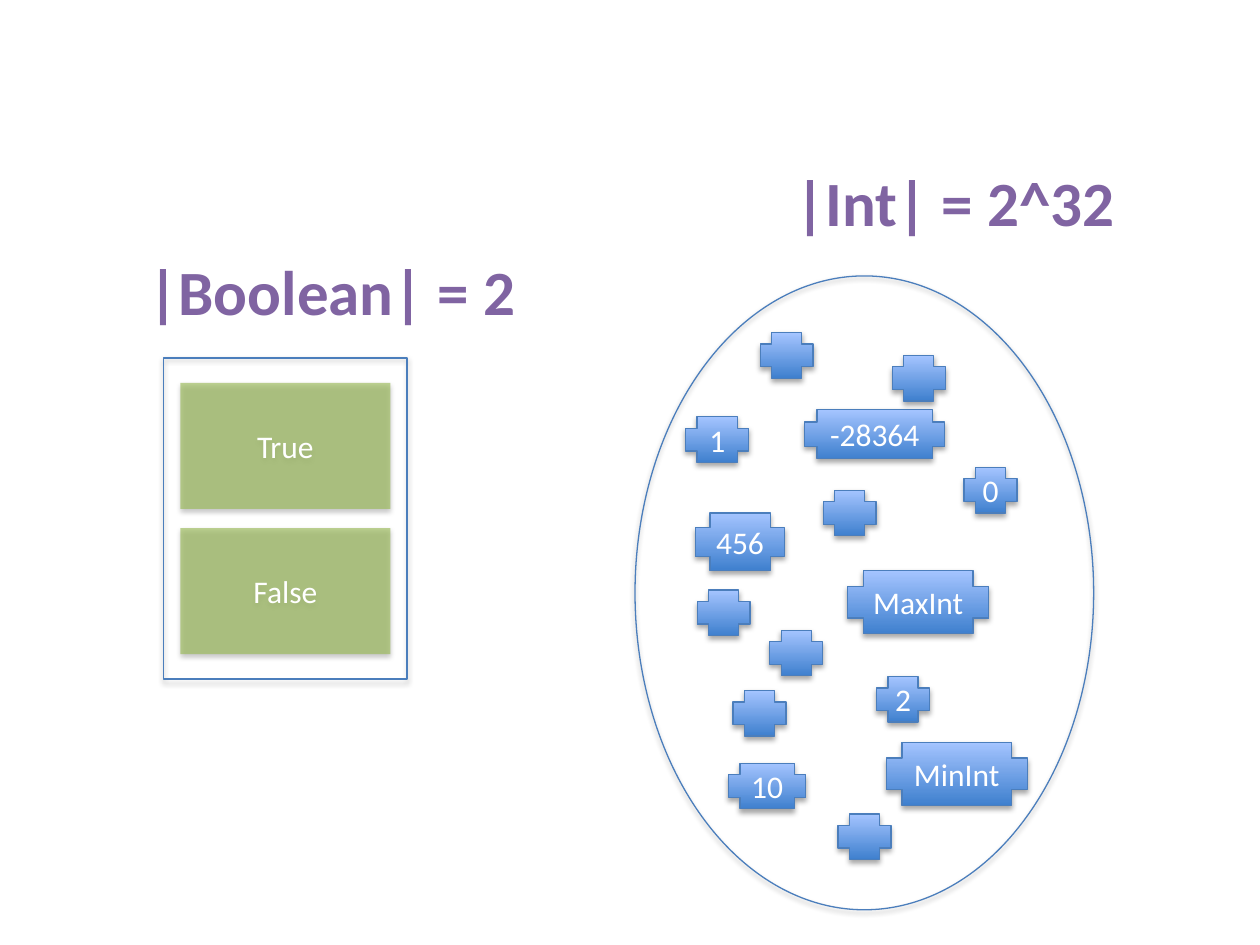
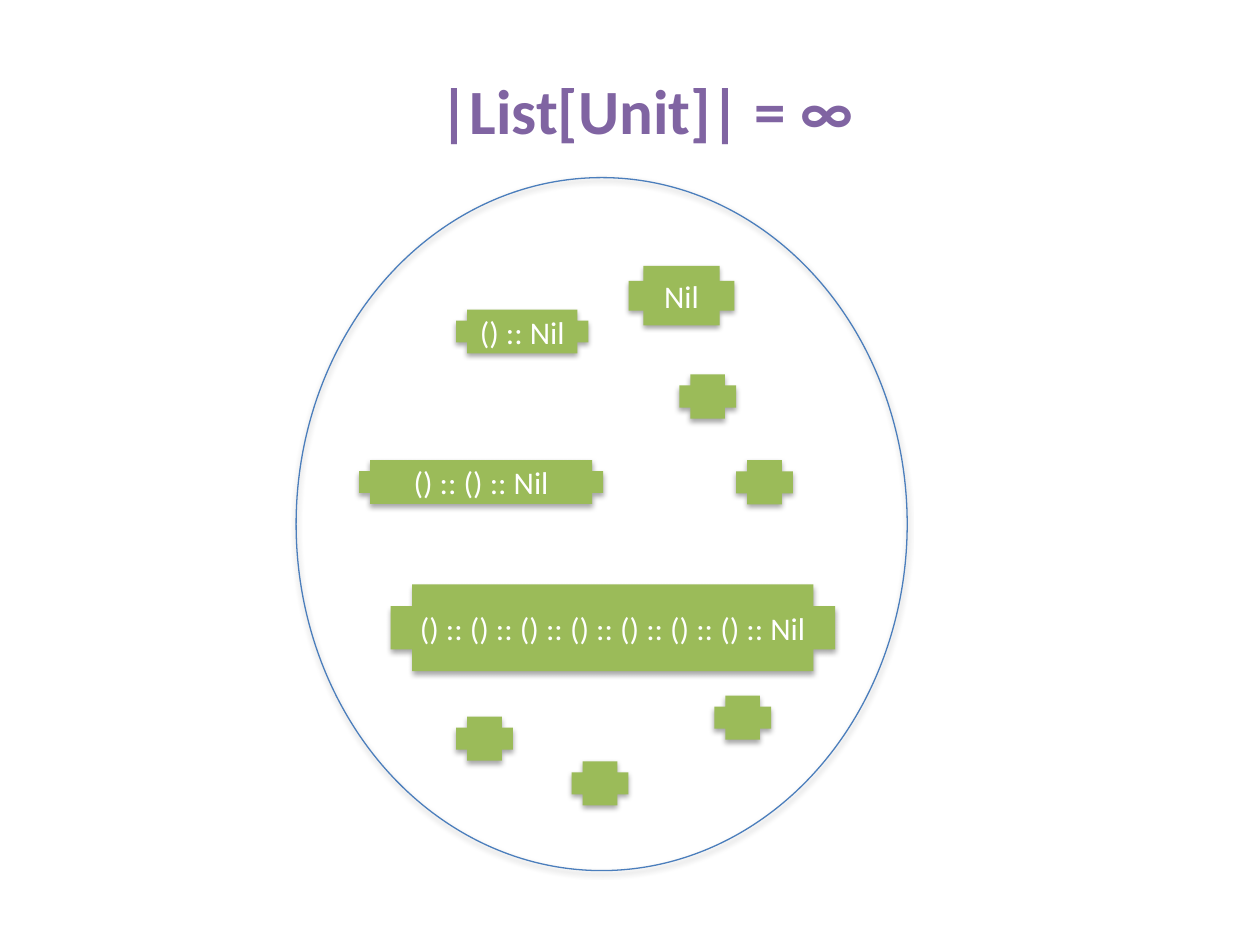
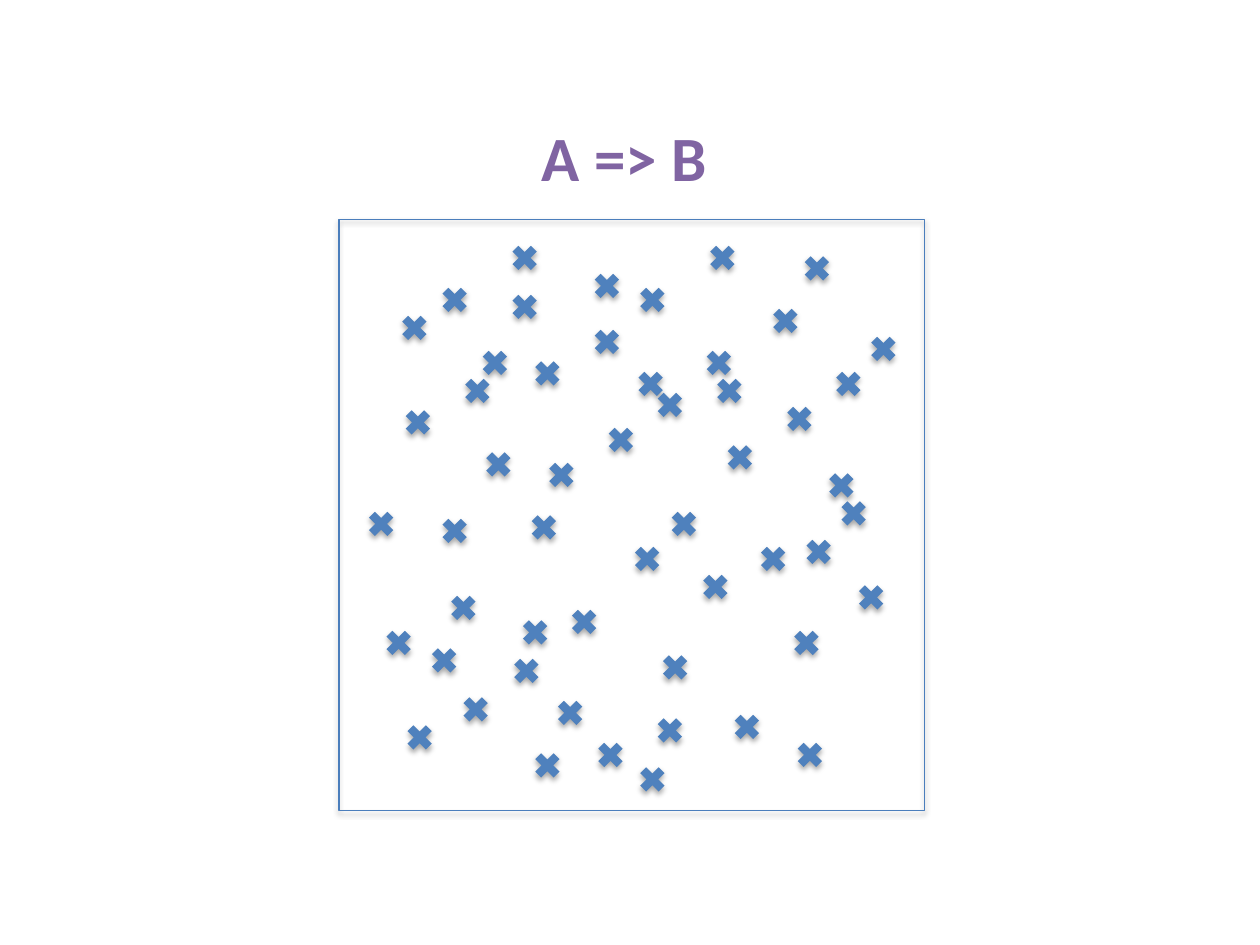
from lxml import etree
from pptx import Presentation
from pptx.dml.color import RGBColor
from pptx.enum.shapes import MSO_SHAPE
from pptx.enum.text import MSO_ANCHOR, MSO_AUTO_SIZE, PP_ALIGN
from pptx.oxml.ns import qn
from pptx.util import Pt

OVAL = MSO_SHAPE.OVAL
RECTANGLE = MSO_SHAPE.RECTANGLE
PLUS = MSO_SHAPE.CROSS
MULTIPLY = MSO_SHAPE.MATH_MULTIPLY
LEFT = PP_ALIGN.LEFT
CENTER = PP_ALIGN.CENTER
TOP = MSO_ANCHOR.TOP
MIDDLE = MSO_ANCHOR.MIDDLE
NO_AUTOFIT = MSO_AUTO_SIZE.NONE

PURPLE = RGBColor(0x80, 0x64, 0xA2)
GREEN = RGBColor(0x9B, 0xBB, 0x59)
BLUE = RGBColor(0x4F, 0x81, 0xBD)
OUTLINE_BLUE = RGBColor(0x4B, 0x7E, 0xBC)
GRADIENT = (RGBColor(0x3F, 0x80, 0xCE), RGBColor(0xA4, 0xC4, 0xFF))
WHITE = RGBColor(0xFF, 0xFF, 0xFF)
BLACK = RGBColor(0, 0, 0)

FONT = "Calibri"
TITLE_ONLY = 5
HEADING_HEIGHT = 51.1

BOOLEAN_HEADING = ("|Boolean| = 2", 77.8, 140.4, 226.1)
INT_HEADING = ("|Int| = 2^32", 447.8, 90, 198.7)
LIST_HEADING = ("|List[Unit]| = ∞", 244.1, 37.4, 252.7)
FUNCTION_HEADING = ("A => B", 302.4, 64.1, 113.8)

BOOLEAN_SET = (93.6, 204.5, 139, 183.6)
INT_SET = (362.9, 157.7, 262.1, 362.2)
LIST_SET = (169.2, 101.5, 349.2, 396)
FUNCTION_SET = (193.7, 125.3, 334.8, 337.7)

BOOLEAN_VALUES = ["True", "False"]
BOOLEAN_SIZE = (120, 72)
BOOLEAN_GAP = 11

SMALL_INT = (30.2, 25.9)
LIMIT_INT = (80.6, 36)
INT_MEMBERS = [
    ("456", (34.5, 135.5), (51, 33)),
    ("MaxInt", (121.5, 168.5), LIMIT_INT),
    ("0", (188, 109.5), SMALL_INT),
    ("1", (29, 80.5), (36, 26)),
    ("-28364", (97, 76.5), (80, 28)),
    ("2", (138, 229), SMALL_INT),
    ("10", (53.5, 278.5), (44, 26)),
    ("MinInt", (143.5, 266.5), LIMIT_INT),
]
UNNAMED_INT_OFFSETS = [
    (71.5, 32.5), (147, 45.5), (107.5, 122.5), (35.5, 179.5),
    (77, 202.5), (56, 237), (116, 307.5),
]

SMALL_LIST = (32.4, 25.2)
LIST_MEMBERS = [
    ("Nil", (190, 50.5), (60.5, 34)),
    ("() :: Nil", (91.5, 75.5), (75.5, 25)),
    ("() :: () :: Nil", (36, 161.5), (139.5, 25)),
    (" :: ".join(["()"] * 7 + ["Nil"]), (54, 232.5), (254, 49.5)),
]
UNNAMED_LIST_OFFSETS = [
    (219, 112.5), (251.5, 161.5), (239, 296), (91.5, 308), (157.5, 333.5),
]

FUNCTION_SIZE = (20.2, 20.2)
FUNCTION_LEFTS_BY_TOP = {
    12: [96, 209], 18: [263], 28: [143], 36: [56, 169], 40: [96],
    48: [245], 52: [33], 60: [143], 64: [301], 72: [79, 207],
    78: [109], 84: [168, 281], 88: [69, 213], 96: [179], 104: [253],
    106: [35], 116: [151], 126: [219], 130: [81], 136: [117],
    142: [277], 158: [284], 164: [14, 187], 166: [107], 168: [56],
    180: [264], 184: [166, 238], 200: [205], 206: [294], 212: [61],
    220: [130], 226: [102], 232: [24, 257], 242: [50], 246: [182],
    248: [97], 270: [68], 272: [122], 280: [223], 282: [179],
    286: [36], 296: [145, 259], 302: [109], 310: [169],
}


def unnamed_members(offsets, size):
    return [("", offset, size) for offset in offsets]


def stacked_members(texts, size, gap, container):
    width, height = size
    container_width, container_height = container[2:]
    step = height + gap
    left = (container_width - width) / 2
    first_top = (container_height - len(texts) * step + gap) / 2
    return [(text, (left, first_top + row * step), size)
            for row, text in enumerate(texts)]


def write_text(shape, text, size=18, color=WHITE, bold=False,
               align=CENTER, anchor=MIDDLE, wrap=False):
    frame = shape.text_frame
    frame.text = text
    frame.auto_size = NO_AUTOFIT
    frame.word_wrap = wrap
    frame.vertical_anchor = anchor
    paragraph = frame.paragraphs[0]
    paragraph.alignment = align
    font = paragraph.runs[0].font
    font.name, font.size, font.bold = FONT, Pt(size), bold
    font.color.rgb = color


def add_heading(slide, heading, is_title=True):
    text, left, top, width = heading
    box = [Pt(value) for value in (left, top, width, HEADING_HEIGHT)]
    if is_title:
        shape = slide.shapes.title
        shape.left, shape.top, shape.width, shape.height = box
    else:
        shape = slide.shapes.add_textbox(*box)
    write_text(shape, text, size=36, color=PURPLE, bold=True,
               align=LEFT, anchor=TOP, wrap=True)


def set_alpha(color_element, percent):
    etree.SubElement(color_element, qn("a:alpha"), val=str(percent * 1000))


def add_shadow(shape):
    shape.shadow.inherit = False
    effects = shape._element.spPr.find(qn("a:effectLst"))
    shadow = etree.SubElement(effects, qn("a:outerShdw"), blurRad=str(Pt(3.1)),
                              dist=str(Pt(1.8)), dir="5400000", rotWithShape="0")
    set_alpha(etree.SubElement(shadow, qn("a:srgbClr"), val=str(BLACK)), 35)


def add_figure(slide, preset, box, text="", fill=None, gradient=None,
               alpha=None, outlined=False):
    shape = slide.shapes.add_shape(preset, *[Pt(value) for value in box])
    if gradient:
        shape.fill.gradient()
        shape.fill.gradient_angle = 90
        for stop, color in zip(shape.fill.gradient_stops, gradient):
            stop.color.rgb = color
    elif fill is not None:
        shape.fill.solid()
        shape.fill.fore_color.rgb = fill
    else:
        shape.fill.background()
    if alpha:
        set_alpha(shape._element.spPr.find(qn("a:solidFill"))[0], alpha)
    if outlined:
        shape.line.color.rgb = OUTLINE_BLUE
        shape.line.width = Pt(0.75)
    else:
        shape.line.fill.background()
    add_shadow(shape)
    if text:
        write_text(shape, text)


def add_set(slide, container_preset, container, member_preset, members, **style):
    add_figure(slide, container_preset, container, outlined=True)
    set_left, set_top = container[:2]
    for text, (left, top), size in members:
        box = (set_left + left, set_top + top, *size)
        add_figure(slide, member_preset, box, text, **style)


def add_titled_slide(presentation, heading):
    slide = presentation.slides.add_slide(presentation.slide_layouts[TITLE_ONLY])
    add_heading(slide, heading)
    return slide


def build_finite_types(presentation):
    slide = add_titled_slide(presentation, BOOLEAN_HEADING)
    booleans = stacked_members(BOOLEAN_VALUES, BOOLEAN_SIZE, BOOLEAN_GAP, BOOLEAN_SET)
    add_set(slide, RECTANGLE, BOOLEAN_SET, RECTANGLE, booleans, fill=GREEN, alpha=65)
    add_heading(slide, INT_HEADING, is_title=False)
    integers = INT_MEMBERS + unnamed_members(UNNAMED_INT_OFFSETS, SMALL_INT)
    add_set(slide, OVAL, INT_SET, PLUS, integers, gradient=GRADIENT, outlined=True)


def build_list_type(presentation):
    slide = add_titled_slide(presentation, LIST_HEADING)
    lists = LIST_MEMBERS + unnamed_members(UNNAMED_LIST_OFFSETS, SMALL_LIST)
    add_set(slide, OVAL, LIST_SET, PLUS, lists, fill=GREEN)


def build_function_type(presentation):
    slide = add_titled_slide(presentation, FUNCTION_HEADING)
    offsets = [(left, top) for top, lefts in FUNCTION_LEFTS_BY_TOP.items()
               for left in lefts]
    functions = unnamed_members(offsets, FUNCTION_SIZE)
    add_set(slide, RECTANGLE, FUNCTION_SET, MULTIPLY, functions, fill=BLUE)


def main():
    presentation = Presentation()
    presentation.slide_width, presentation.slide_height = Pt(720), Pt(540)
    build_finite_types(presentation)
    build_list_type(presentation)
    build_function_type(presentation)
    presentation.save("out.pptx")


if __name__ == "__main__":
    main()
